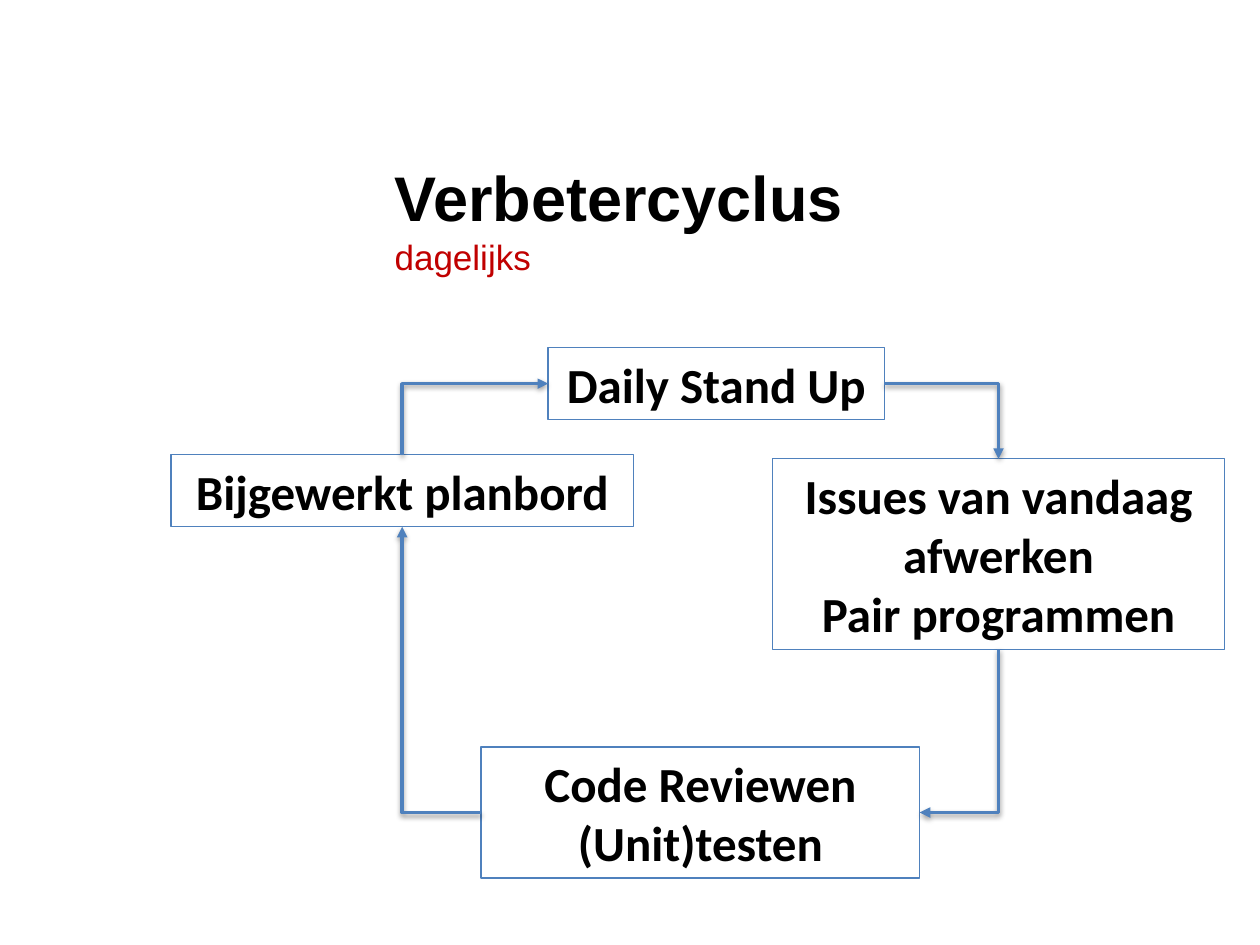
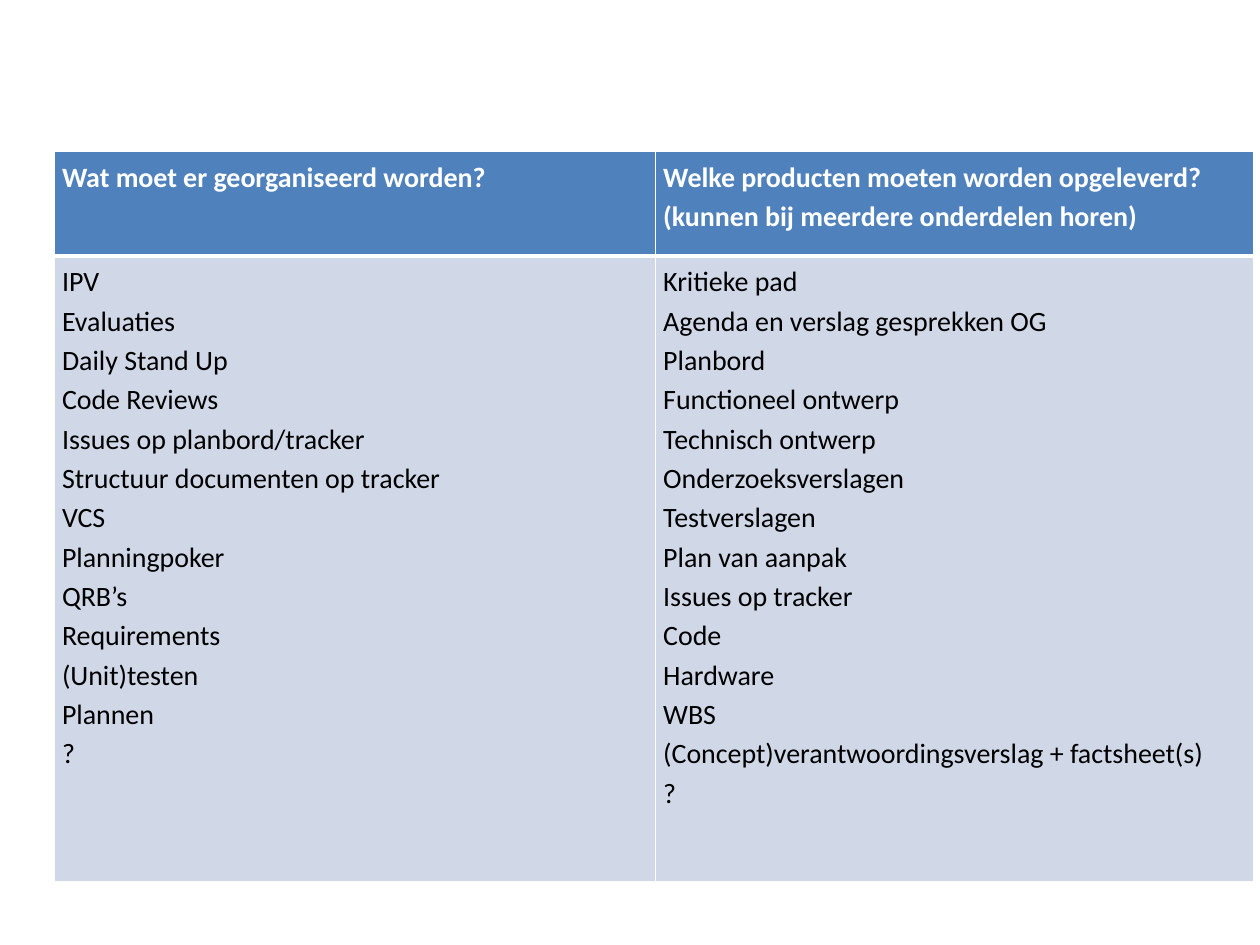
"""Build two slides: a daily improvement cycle and a table of tasks and products."""
from dataclasses import dataclass

from lxml.etree import SubElement
from pptx import Presentation
from pptx.dml.color import RGBColor as Rgb
from pptx.enum.shapes import MSO_CONNECTOR as Link, MSO_SHAPE as Shape
from pptx.enum.text import MSO_ANCHOR as Anchor, MSO_AUTO_SIZE as Fit, PP_ALIGN as Align
from pptx.oxml.ns import qn
from pptx.util import Cm, Pt


@dataclass(frozen=True)
class Theme:
    """Colours, fonts and type sizes."""
    black: str = "000000"
    white: str = "FFFFFF"
    red: str = "C00000"
    blue: str = "4F81BD"
    pale: str = "D0D8E8"
    heading_font: str = "Arial"
    text_font: str = "Calibri"
    title_size: int = 36
    subtitle_size: int = 20
    step_size: int = 28
    table_size: int = 16


THEME = Theme()
SLIDE_SIZE = 25.4, 19.05

HEADINGS = [
    ("Verbetercyclus", (7.7, 3.05, 16.94, 1.8), Anchor.MIDDLE,
     dict(size=THEME.title_size, name=THEME.heading_font, bold=True, color=THEME.black)),
    ("dagelijks", (7.7, 4.62, 16.94, 1.09), Anchor.TOP,
     dict(size=THEME.subtitle_size, name=THEME.heading_font, bold=False, color=THEME.red)),
]

STEPS = {
    "standup": (["Daily Stand Up"], (11.05, 7.01, 6.78, 1.45)),
    "review": (["Code Reviewen", "(Unit)testen"], (9.7, 15.06, 8.84, 2.64)),
    "issues": (["Issues van vandaag afwerken", "Pair programmen"], (15.57, 9.25, 9.12, 3.84)),
    "board": (["Bijgewerkt planbord"], (3.45, 9.17, 9.32, 1.45)),
}
TOP, LEFT, BOTTOM, RIGHT = range(4)
FLOW = [
    ("standup", RIGHT, "issues", TOP),
    ("issues", BOTTOM, "review", RIGHT),
    ("board", TOP, "standup", LEFT),
    ("review", LEFT, "board", BOTTOM),
]

QUESTIONS = [
    ["Wat moet er georganiseerd worden?"],
    ["Welke producten moeten worden opgeleverd?", "(kunnen bij meerdere onderdelen horen)"],
]
ANSWERS = [
    ["IPV", "Evaluaties", "Daily Stand Up", "Code Reviews", "Issues op planbord/tracker",
     "Structuur documenten op tracker", "VCS", "Planningpoker", "QRB’s", "Requirements",
     "(Unit)testen", "Plannen", "?"],
    ["Kritieke pad", "Agenda en verslag gesprekken OG", "Planbord", "Functioneel ontwerp",
     "Technisch ontwerp", "Onderzoeksverslagen", "Testverslagen", "Plan van aanpak",
     "Issues op tracker", "Code", "Hardware", "WBS",
     "(Concept)verantwoordingsverslag + factsheet(s)", "?"],
]
TABLE_CORNER = 1.09, 3.05
COLUMN_WIDTHS = 12.12, 12.07
ROWS = [
    (QUESTIONS, 2.11, THEME.blue, THEME.white, True, dict(lnL=1, lnR=1, lnT=1, lnB=3)),
    (ANSWERS, 12.62, THEME.pale, THEME.black, False, dict(lnL=1, lnR=1, lnT=3, lnB=1)),
]
CELL_MARGINS = dict(margin_left=Cm(0.16), margin_right=Cm(0.16),
                    margin_top=Cm(0.08), margin_bottom=Cm(0.08))


def apply(target, values):
    """Set each value as an attribute of the target."""
    for key, value in values.items():
        setattr(target, key, value)


def write(frame, lines, size, name, bold, color, **paragraph_format):
    """Fill a text frame with evenly formatted paragraphs."""
    frame.text = "\n".join(lines)
    for paragraph in frame.paragraphs:
        apply(paragraph, paragraph_format)
        for run in paragraph.runs:
            apply(run.font, dict(size=Pt(size), name=name, bold=bold))
            run.font.color.rgb = Rgb.from_string(color)


def add_solid(parent, color):
    """Append a solid fill and return its colour element."""
    return SubElement(SubElement(parent, qn("a:solidFill")), qn("a:srgbClr"), val=color)


def add_headings(slide):
    """Place the title and the subtitle in the layout's placeholders."""
    for placeholder, (text, place, anchor, font) in zip(slide.placeholders, HEADINGS):
        apply(placeholder, dict(zip(("left", "top", "width", "height"), map(Cm, place))))
        frame = placeholder.text_frame
        write(frame, [text], **font, alignment=Align.LEFT)
        apply(frame, dict(auto_size=Fit.NONE, vertical_anchor=anchor, word_wrap=True))
    properties = frame.paragraphs[0]._p.get_or_add_pPr()
    apply(frame.paragraphs[0], dict(space_before=Pt(4)))
    properties.set("marL", "0")
    properties.set("indent", "0")
    SubElement(properties, qn("a:buNone"))


def add_step(slide, lines, place):
    """Add one outlined step of the cycle."""
    step = slide.shapes.add_shape(Shape.RECTANGLE, *map(Cm, place))
    step.shadow.inherit = False
    step.fill.background()
    step.line.color.rgb = Rgb.from_string(THEME.blue)
    step.line.width = Pt(0.75)
    frame = step.text_frame
    write(frame, lines, THEME.step_size, THEME.text_font, True, THEME.black,
          alignment=Align.CENTER)
    apply(frame, dict(word_wrap=True, auto_size=Fit.SHAPE_TO_FIT_TEXT))
    return step


def side_point(step, side):
    """Return the middle of one side of a step."""
    across = {LEFT: 0, RIGHT: 2}.get(side, 1)
    down = {TOP: 0, BOTTOM: 2}.get(side, 1)
    return step.left + step.width * across // 2, step.top + step.height * down // 2


def add_arrow(slide, start, start_side, end, end_side):
    """Connect two steps with a one-bend arrow that leaves its side at a right angle."""
    x1, y1 = side_point(start, start_side)
    x2, y2 = side_point(end, end_side)
    upright = start_side in (TOP, BOTTOM)
    run, rise = (y2 - y1, x1 - x2) if upright else (x2 - x1, y2 - y1)
    left, top = (x1 + x2 - run) // 2, (y1 + y2 - rise) // 2

    arrow = slide.shapes.add_connector(Link.ELBOW, x1, y1, x2, y2)
    arrow.begin_connect(start, start_side)
    arrow.end_connect(end, end_side)
    apply(arrow, dict(begin_x=left, begin_y=top, end_x=left + run, end_y=top + rise))
    arrow.line.color.rgb = Rgb.from_string(THEME.blue)
    arrow.line.width = Pt(2)

    properties = arrow.element.spPr
    properties.find(qn("a:prstGeom")).set("prst", "bentConnector2")
    if upright:
        properties.find(qn("a:xfrm")).set("rot", "5400000")
    SubElement(properties.find(qn("a:ln")), qn("a:tailEnd"), type="triangle")
    shadow = SubElement(SubElement(properties, qn("a:effectLst")), qn("a:outerShdw"),
                        blurRad=str(Pt(3.1)), dist=str(Pt(1.6)), dir="5400000",
                        rotWithShape="0")
    color = SubElement(shadow, qn("a:srgbClr"), val=THEME.black)
    SubElement(color, qn("a:alpha"), val="38000")


def add_cycle(slide):
    """Add the steps and the arrows between them."""
    steps = {key: add_step(slide, *step) for key, step in STEPS.items()}
    for start, start_side, end, end_side in FLOW:
        add_arrow(slide, steps[start], start_side, steps[end], end_side)


def add_overview(slide):
    """Add the table with questions above their answers."""
    size = sum(COLUMN_WIDTHS), sum(height for _, height, *_ in ROWS)
    overview = slide.shapes.add_table(len(ROWS), len(COLUMN_WIDTHS),
                                      *map(Cm, TABLE_CORNER + size)).table
    overview.horz_banding = False
    for column, width in zip(overview.columns, COLUMN_WIDTHS):
        column.width = Cm(width)
    for row, (texts, height, fill, color, bold, borders) in zip(overview.rows, ROWS):
        row.height = Cm(height)
        for cell, lines in zip(row.cells, texts):
            write(cell.text_frame, lines, THEME.table_size, THEME.text_font, bold, color,
                  line_spacing=1.15)
            apply(cell, CELL_MARGINS)
            properties = cell._tc.get_or_add_tcPr()
            for edge, points in borders.items():
                add_solid(SubElement(properties, qn(f"a:{edge}"), w=str(Pt(points))),
                          THEME.white)
            cell.fill.solid()
            cell.fill.fore_color.rgb = Rgb.from_string(fill)


def main():
    """Build and save the slides."""
    deck = Presentation()
    deck.slide_width, deck.slide_height = map(Cm, SLIDE_SIZE)
    cycle = deck.slides.add_slide(deck.slide_layouts[1])
    add_headings(cycle)
    add_cycle(cycle)
    add_overview(deck.slides.add_slide(deck.slide_layouts[6]))
    deck.save("out.pptx")


if __name__ == "__main__":
    main()
